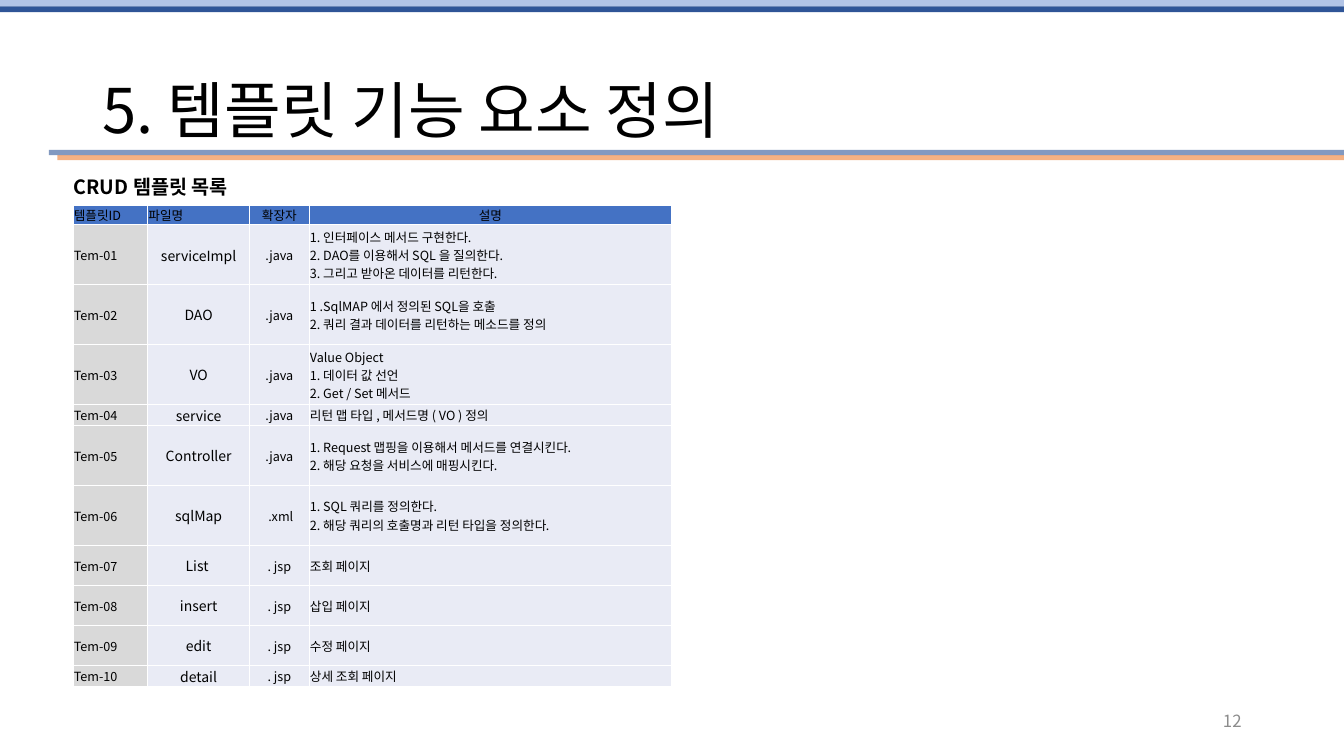
from copy import deepcopy
from dataclasses import dataclass

from lxml import etree
from pptx import Presentation
from pptx.dml.color import RGBColor
from pptx.enum import shapes, text
from pptx.oxml import ns
from pptx.util import Cm, Pt

LEFT, CENTER, RIGHT = text.PP_ALIGN.LEFT, text.PP_ALIGN.CENTER, text.PP_ALIGN.RIGHT


@dataclass(frozen=True)
class Theme:
    font: str = "Noto Sans CJK KR"
    ink: str = "000000"
    muted: str = "8C8C8C"
    white: str = "FFFFFF"
    blue: str = "4472C4"
    navy: str = "2F5597"
    orange: str = "F4B183"
    id_fill: str = "D9D9D9"
    cell_fill: str = "E9EBF5"
    title_size: float = 44
    heading_size: float = 14
    number_size: float = 12
    name_size: float = 10
    cell_size: float = 9


@dataclass(frozen=True)
class Bar:
    left: float
    top: float
    width: float
    height: float
    color: str
    opacity: int = 100


@dataclass(frozen=True)
class Template:
    file_name: str
    extension: str
    description: str
    height: float


THEME = Theme()
SLIDE_WIDTH, SLIDE_HEIGHT = 33.87, 19.05

BARS = [
    Bar(1.45, 3.91, 32.42, 0.13, THEME.orange),
    Bar(0, 0, SLIDE_WIDTH, 0.16, THEME.blue, 41),
    Bar(0, 0.16, SLIDE_WIDTH, 0.15, THEME.navy),
    Bar(1.23, 3.78, 32.64, 0.13, THEME.navy, 60),
]

HEADERS = ["템플릿ID", "파일명", "확장자", "설명"]
HEADER_ALIGNS = [LEFT, LEFT, CENTER, CENTER]
ROW_ALIGNS = [LEFT, CENTER, CENTER, LEFT]
COLUMN_WIDTHS = [1.88, 2.57, 1.5, 9.14]
HEADER_HEIGHT, TALL, MEDIUM, SHORT = 0.49, 1.51, 1.01, 0.52

TEMPLATES = [
    Template("serviceImpl", ".java",
             "1. 인터페이스 메서드 구현한다.\n2. DAO를 이용해서 SQL 을 질의한다.\n"
             "3. 그리고 받아온 데이터를 리턴한다.", TALL),
    Template("DAO", ".java",
             "1 .SqlMAP 에서 정의된 SQL을 호출\n2. 쿼리 결과 데이터를 리턴하는 메소드를 정의", TALL),
    Template("VO", ".java",
             "Value Object \n1. 데이터 값 선언 \n2. Get / Set 메서드", TALL),
    Template("service", ".java", "리턴 맵 타입 , 메서드명 ( VO ) 정의", SHORT),
    Template("Controller", ".java",
             "1. Request 맵핑을 이용해서 메서드를 연결시킨다.\n"
             "2. 해당 요청을 서비스에 매핑시킨다.", TALL),
    Template("sqlMap", " .xml",
             "1. SQL 쿼리를 정의한다. \n2. 해당 쿼리의 호출명과 리턴 타입을 정의한다.", TALL),
    Template("List ", ". jsp", "조회 페이지", MEDIUM),
    Template("insert", ". jsp", "삽입 페이지", MEDIUM),
    Template("edit", ". jsp", "수정 페이지", MEDIUM),
    Template("detail", ". jsp", "상세 조회 페이지", SHORT),
]


def write(frame, content: str, size: float, align=LEFT, color: str = THEME.ink,
          bold: bool = False, anchor=text.MSO_ANCHOR.MIDDLE):
    """Put one paragraph in a text frame or cell; newlines become line breaks."""
    frame.vertical_anchor = anchor
    paragraph = getattr(frame, "text_frame", frame).paragraphs[0]
    paragraph.text = content
    paragraph.alignment = align
    for run in paragraph.runs:
        run.font.name = THEME.font
        run.font.size = Pt(size)
        run.font.bold = bold
        run.font.color.rgb = RGBColor.from_string(color)
        properties = run.font._element
        etree.SubElement(properties, ns.qn("a:ea"), typeface=THEME.font)
    for line_break in paragraph._p.findall(ns.qn("a:br")):
        line_break.insert(0, deepcopy(properties))
    return paragraph


def place(shape, left: float, top: float, width: float, height: float) -> None:
    shape.left, shape.top = Cm(left), Cm(top)
    shape.width, shape.height = Cm(width), Cm(height)


def add_bar(slide, bar: Bar) -> None:
    shape = slide.shapes.add_shape(shapes.MSO_SHAPE.RECTANGLE, Cm(bar.left), Cm(bar.top),
                                   Cm(bar.width), Cm(bar.height))
    shape.shadow.inherit = False
    shape.line.fill.background()
    shape.fill.solid()
    shape.fill.fore_color.rgb = RGBColor.from_string(bar.color)
    if bar.opacity < 100:
        color = shape._element.spPr.find(".//" + ns.qn("a:srgbClr"))
        etree.SubElement(color, ns.qn("a:alpha"), val=str(bar.opacity * 1000))


def add_borders(cell) -> None:
    properties = cell._tc.get_or_add_tcPr()
    for index, side in enumerate(("lnL", "lnR", "lnT", "lnB")):
        line = etree.Element(ns.qn(f"a:{side}"), w=str(Pt(1)))
        fill = etree.SubElement(line, ns.qn("a:solidFill"))
        etree.SubElement(fill, ns.qn("a:srgbClr"), val=THEME.white)
        properties.insert(index, line)


def fill_cell(cell, content: str, size: float, align, color: str) -> None:
    cell.margin_left = cell.margin_right = cell.margin_top = Cm(0.02)
    cell.margin_bottom = 0
    cell.fill.solid()
    cell.fill.fore_color.rgb = RGBColor.from_string(color)
    add_borders(cell)
    write(cell, content, size, align)


def add_template_table(slide) -> None:
    heights = [HEADER_HEIGHT] + [template.height for template in TEMPLATES]
    table = slide.shapes.add_table(len(heights), len(HEADERS), Cm(1.84), Cm(5.17),
                                   Cm(sum(COLUMN_WIDTHS)), Cm(sum(heights))).table
    table.first_row = table.horz_banding = False
    for column, width in zip(table.columns, COLUMN_WIDTHS):
        column.width = Cm(width)
    for row, height in zip(table.rows, heights):
        row.height = Cm(height)

    for column, (header, align) in enumerate(zip(HEADERS, HEADER_ALIGNS)):
        fill_cell(table.cell(0, column), header, THEME.cell_size, align, THEME.blue)
    sizes = [THEME.cell_size, THEME.name_size, THEME.cell_size, THEME.cell_size]
    fills = [THEME.id_fill] + [THEME.cell_fill] * 3
    for row, template in enumerate(TEMPLATES, start=1):
        values = [f"Tem-{row:02}", template.file_name, template.extension, template.description]
        for column, value in enumerate(values):
            fill_cell(table.cell(row, column), value, sizes[column],
                      ROW_ALIGNS[column], fills[column])


def add_headings(slide) -> None:
    title, body = slide.placeholders
    place(title, 2.33, 1.01, 29.21, 3.68)
    place(body, 1.6, 4.34, 31.9, 0.84)
    for placeholder in (title, body):
        placeholder.text_frame.auto_size = text.MSO_AUTO_SIZE.NONE
    write(title.text_frame, "5. 템플릿 기능 요소 정의", THEME.title_size).line_spacing = 0.9
    heading = write(body.text_frame, "CRUD 템플릿 목록", THEME.heading_size, bold=True,
                    anchor=text.MSO_ANCHOR.TOP)
    heading.line_spacing = 0.9
    heading.space_before = Pt(10)
    properties = heading._p.get_or_add_pPr()
    properties.set("marL", "0")
    properties.set("indent", "0")
    etree.SubElement(properties, ns.qn("a:buNone"))


def add_page_number(slide) -> None:
    box = slide.shapes.add_textbox(Cm(23.92), Cm(17.66), Cm(7.62), Cm(1.01))
    box.text_frame.word_wrap = True
    write(box.text_frame, "12", THEME.number_size, RIGHT, THEME.muted)


def main() -> None:
    presentation = Presentation()
    presentation.slide_width, presentation.slide_height = Cm(SLIDE_WIDTH), Cm(SLIDE_HEIGHT)
    slide = presentation.slides.add_slide(presentation.slide_layouts[1])
    for bar in BARS:
        add_bar(slide, bar)
    add_headings(slide)
    add_template_table(slide)
    add_page_number(slide)
    presentation.save("out.pptx")


if __name__ == "__main__":
    main()
